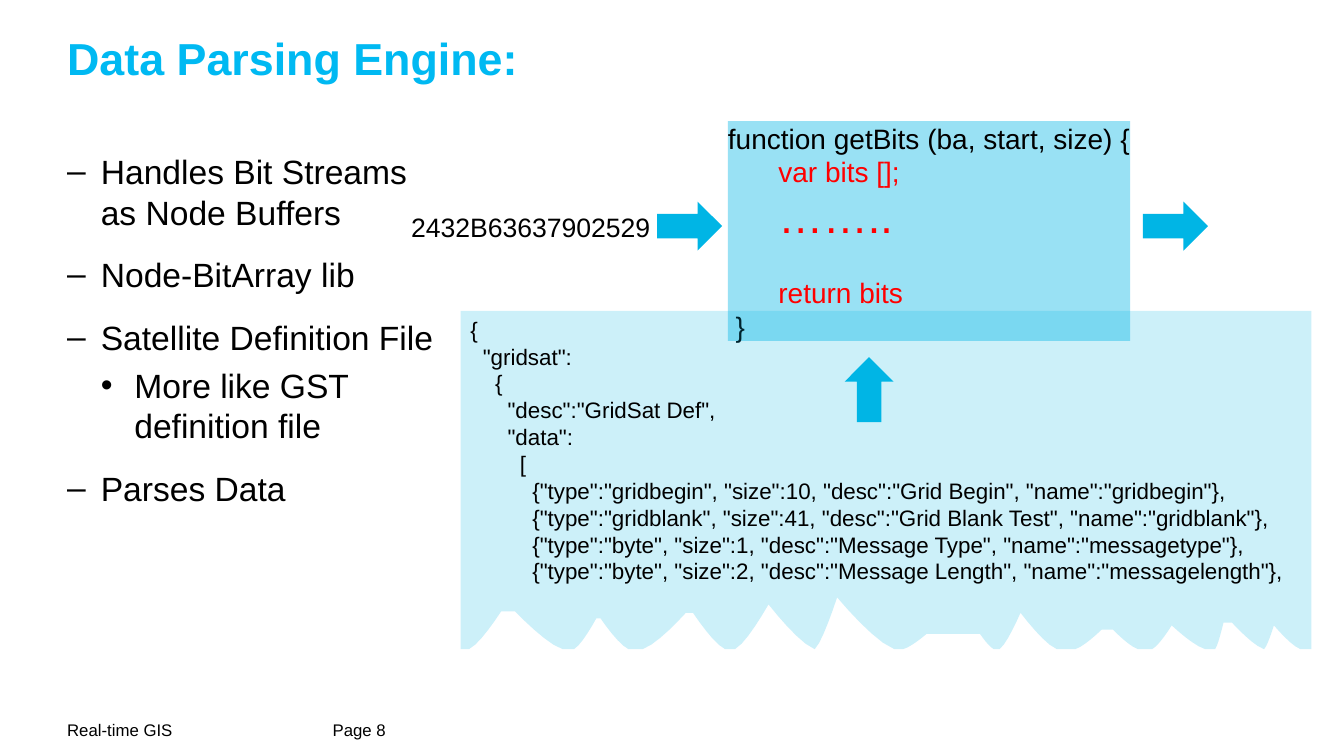
from dataclasses import dataclass
from typing import NamedTuple

from lxml.etree import SubElement
from pptx import Presentation
from pptx.dml.color import RGBColor
from pptx.enum.shapes import MSO_SHAPE
from pptx.enum.text import MSO_ANCHOR, PP_ALIGN
from pptx.oxml.ns import qn
from pptx.util import Pt


@dataclass(frozen=True)
class Theme:
    font: str = "Arial"
    title_color: str = "00B9F2"
    accent: str = "00B5E5"
    text: str = "000000"
    highlight: str = "FF0000"
    title_size: float = 32
    body_size: float = 24
    function_size: float = 20
    ellipsis_size: float = 32
    bits_size: float = 19
    json_size: float = 16
    footer_size: float = 12
    inset: tuple = (7.2, 3.6)


class Notch(NamedTuple):
    """A cut in the torn edge: two feet, a flat or pointed top, and its depth."""
    left_foot: float
    top_left: float
    top_right: float
    right_foot: float
    depth: float


NOTCHES = [
    Notch(335, 358, 368, 402, 27),
    Notch(410, 426, 429, 449, 22),
    Notch(459, 490, 495, 518, 26),
    Notch(525, 549, 549, 582, 32),
    Notch(582, 598, 598, 639, 37),
    Notch(645, 662, 700, 710, 11),
    Notch(714, 729, 729, 755, 26),
    Notch(768, 787, 795, 813, 14),
    Notch(823, 837, 837, 861, 17),
    Notch(868, 874, 880, 903, 19),
    Notch(903, 910, 910, 929, 17),
]


def torn_edge(notches, bottom, steps=5, steepness=1.3):
    """Trace the notches from left to right; sides get steeper towards the top."""
    for notch in notches:
        climb = [step / steps for step in range(steps + 1)]
        sides = (
            (notch.left_foot, notch.top_left, climb),
            (notch.right_foot, notch.top_right, climb[::-1]),
        )
        for foot, top, fractions in sides:
            for fraction in fractions:
                yield (foot + (top - foot) * fraction,
                       bottom - notch.depth * fraction ** steepness)


class SlideBuilder:
    def __init__(self, deck, theme):
        self.theme = theme
        self.page = deck.slides.add_slide(deck.slide_layouts[6])

    def prepare(self, frame, inset=(0, 0), anchor=MSO_ANCHOR.TOP, wrap=True):
        frame.margin_left = frame.margin_right = Pt(inset[0])
        frame.margin_top = frame.margin_bottom = Pt(inset[1])
        frame.vertical_anchor = anchor
        frame.word_wrap = wrap
        return frame

    def paragraph(self, frame, index, align=PP_ALIGN.LEFT):
        para = frame.add_paragraph() if index else frame.paragraphs[0]
        para.alignment = align
        return para

    def span(self, para, text, size, color=None, bold=False):
        span = para.add_run()
        span.text = text
        span.font.name = self.theme.font
        span.font.size = Pt(size)
        span.font.bold = bold
        span.font.color.rgb = RGBColor.from_string(color or self.theme.text)

    def label(self, bounds, text, size, color=None, bold=False,
              align=PP_ALIGN.LEFT, **frame_style):
        box = self.page.shapes.add_textbox(*map(Pt, bounds))
        para = self.paragraph(self.prepare(box.text_frame, **frame_style), 0, align)
        self.span(para, text, size, color, bold)
        return para

    def bullets(self, bounds, items, indent=24):
        """Items are (level, text) pairs; each level hangs one indent further in."""
        box = self.page.shapes.add_textbox(*map(Pt, bounds))
        frame = self.prepare(box.text_frame)
        for index, (level, text) in enumerate(items):
            para = self.paragraph(frame, index)
            para.level = level
            if index:
                para.space_before = Pt(5.3 if level else 16)
            properties = para._p.get_or_add_pPr()
            properties.set("marL", str(Pt(indent * (level + 1))))
            properties.set("indent", str(Pt(-indent)))
            SubElement(properties, qn("a:buFont"), typeface=self.theme.font)
            SubElement(properties, qn("a:buChar"), char="•" if level else "–")
            self.span(para, text, self.theme.body_size)

    def paint(self, shape, opacity=100):
        shape.shadow.inherit = False
        shape.line.fill.background()
        shape.fill.solid()
        shape.fill.fore_color.rgb = RGBColor.from_string(self.theme.accent)
        if opacity < 100:
            color = shape._element.spPr.find(qn("a:solidFill"))[0]
            SubElement(color, qn("a:alpha"), val=str(opacity * 1000))

    def arrow(self, left, top, rotation=0):
        arrow = self.page.shapes.add_shape(
            MSO_SHAPE.RIGHT_ARROW, Pt(left), Pt(top), Pt(46.4), Pt(35))
        arrow.rotation = rotation
        self.paint(arrow)

    def function_panel(self, bounds, lines, tab=36):
        """Lines are (space before, spans); a span is (text, size, color)."""
        panel = self.page.shapes.add_shape(MSO_SHAPE.RECTANGLE, *map(Pt, bounds))
        self.paint(panel, opacity=40)
        frame = self.prepare(panel.text_frame, wrap=False)
        for index, (space, spans) in enumerate(lines):
            para = self.paragraph(frame, index)
            if space:
                para.space_before = Pt(space)
            tabs = SubElement(para._p.get_or_add_pPr(), qn("a:tabLst"))
            SubElement(tabs, qn("a:tab"), pos=str(Pt(tab)), algn="l")
            for text, size, color in spans:
                self.span(para, text, size, color)

    def torn_panel(self, left, top, right, bottom, notches, lines):
        corners = [(left, bottom), *torn_edge(notches, bottom),
                   (right, bottom), (right, top)]
        builder = self.page.shapes.build_freeform(Pt(left), Pt(top), scale=1.0)
        builder.add_line_segments([(Pt(x), Pt(y)) for x, y in corners], close=True)
        sheet = builder.convert_to_shape()
        self.paint(sheet, opacity=20)
        frame = self.prepare(sheet.text_frame, inset=self.theme.inset)
        for index, line in enumerate(lines):
            self.span(self.paragraph(frame, index), line, self.theme.json_size)


def definition_lines():
    """The satellite definition: each opening line sits one level deeper."""
    openings = ['{', '"gridsat":', '{', '"desc":"GridSat Def",', '"data":', '[']
    depths = [0, 1, 2, 3, 3, 4]
    fields = [
        ("gridbegin", 10, "Grid Begin", "gridbegin"),
        ("gridblank", 41, "Grid Blank Test", "gridblank"),
        ("byte", 1, "Message Type", "messagetype"),
        ("byte", 2, "Message Length", "messagelength"),
    ]
    lines = ["  " * depth + text for depth, text in zip(depths, openings)]
    for kind, size, description, name in fields:
        lines.append("  " * 5 + f'{{"type":"{kind}", "size":{size}, '
                     f'"desc":"{description}", "name":"{name}"}},')
    return lines


def main():
    deck = Presentation()
    deck.slide_width, deck.slide_height = Pt(960), Pt(540)
    theme = Theme()
    slide = SlideBuilder(deck, theme)

    title = slide.label((48, 26.6, 864, 63.4), "Data Parsing Engine:",
                        theme.title_size, theme.title_color, bold=True)
    title.line_spacing = 0.9
    slide.bullets((48, 108, 270, 365), [
        (0, "Handles Bit Streams as Node Buffers"),
        (0, "Node-BitArray lib"),
        (0, "Satellite Definition File"),
        (1, "More like GST definition file"),
        (0, "Parses Data"),
    ])
    for left, width, text in ((48, 188, "Real-time GIS"), (237.6, 93.6, "Page 8")):
        slide.label((left, 515.5, width, 12.2), text, theme.footer_size,
                    anchor=MSO_ANCHOR.MIDDLE)
    slide.label((283, 146.9, 188.6, 30.2), "2432B63637902529", theme.bits_size,
                align=PP_ALIGN.RIGHT, inset=theme.inset)

    size, red = theme.function_size, theme.highlight
    slide.function_panel((520, 86.5, 287.3, 157), [
        (0, [("function getBits (ba, start, size) {", size, theme.text)]),
        (0, [("\tvar bits [];", size, red)]),
        (0, [("\t", size, red), ("……..", theme.ellipsis_size, red)]),
        (24, [("\treturn bits", size, red)]),
        (0, [(" }", size, theme.text)]),
    ])
    slide.torn_panel(329, 222, 936.7, 463.7, NOTCHES, definition_lines())

    bits_in, bits_out, definition_in = (469.4, 144), (816.4, 144), (597.6, 260.8, 270)
    for placement in (bits_in, bits_out, definition_in):
        slide.arrow(*placement)

    deck.save("out.pptx")


if __name__ == "__main__":
    main()
